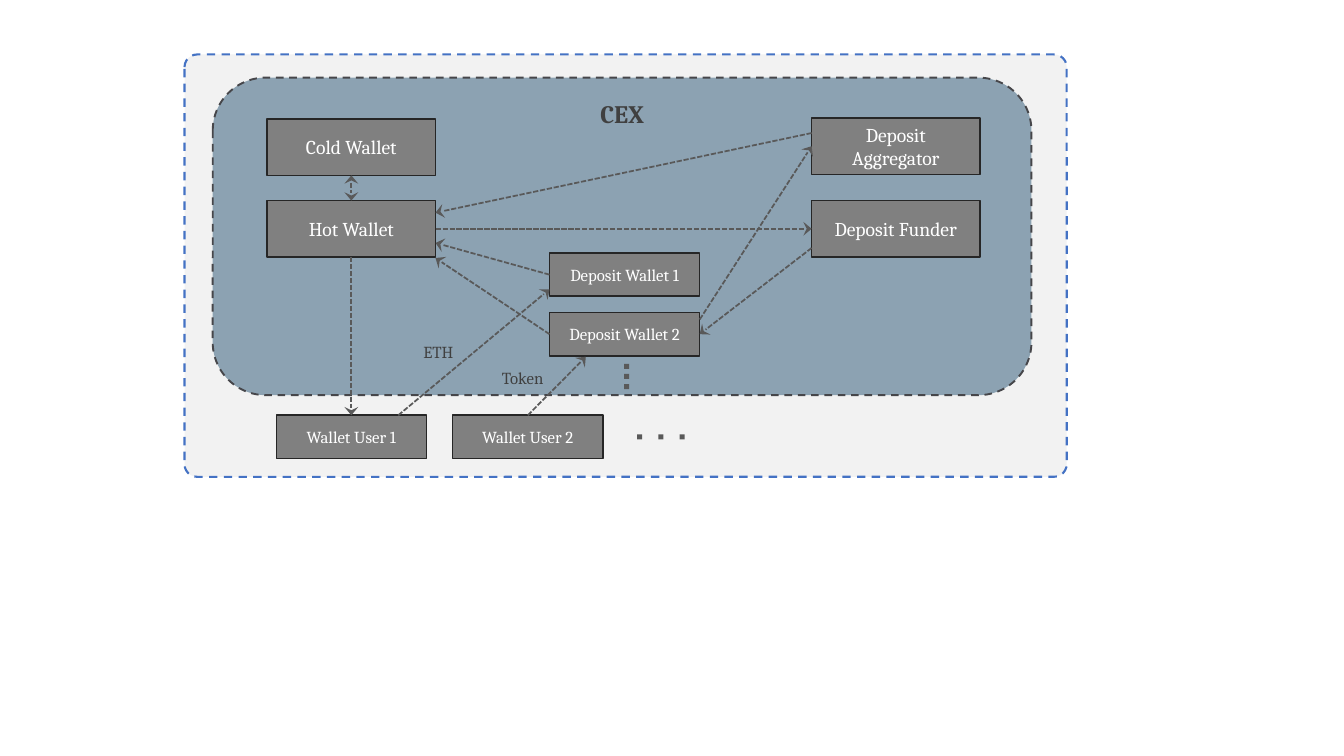
from lxml import etree
from pptx import Presentation
from pptx.dml.color import RGBColor
from pptx.enum import dml, shapes, text
from pptx.oxml import ns
from pptx.util import Inches, Pt

HUES = {
    "panel": "F2F2F2",
    "frame": "4472C4",
    "zone": "618197",
    "rim": "46464A",
    "box": "808080",
    "edge": "262626",
    "arrow": "595959",
    "ink": "404040",
    "white": "FFFFFF",
}
KIND = shapes.MSO_SHAPE
DASH = dml.MSO_LINE
TOP, LEFT, BOTTOM, RIGHT = range(4)

BIG = (1.67, 0.56, 14)
SMALL = (1.49, 0.43, 12)
BOXES = [
    ("Cold Wallet", 2.65, 1.18, BIG),
    ("Hot Wallet", 2.65, 1.99, BIG),
    ("Deposit Aggregator", 8.05, 1.17, BIG),
    ("Deposit Funder", 8.05, 1.99, BIG),
    ("Deposit Wallet 1", 5.45, 2.51, SMALL),
    ("Deposit Wallet 2", 5.45, 3.1, SMALL),
    ("Wallet User 1", 2.74, 4.12, SMALL),
    ("Wallet User 2", 4.49, 4.12, SMALL),
]
ARROWS = [
    (("Hot Wallet", RIGHT), ("Deposit Funder", LEFT)),
    ((6.94, 3.17), ("Deposit Aggregator", LEFT)),
    ((8.05, 2.46), ("Deposit Wallet 2", RIGHT)),
    (("Deposit Wallet 1", LEFT), (4.32, 2.41)),
    (("Deposit Wallet 2", LEFT), (4.32, 2.56)),
    ((8.05, 1.32), (4.32, 2.11)),
    (("Hot Wallet", BOTTOM), ("Wallet User 1", TOP)),
    ((3.95, 4.12), (5.45, 2.87)),
    (("Wallet User 2", TOP), (5.81, 3.54)),
]


def hue(name):
    return RGBColor.from_string(HUES[name])


def write(shape, words, size=12, color="ink", bold=False, align=None, anchor="TOP"):
    frame = shape.text_frame
    frame.word_wrap = True
    frame.vertical_anchor = text.MSO_ANCHOR[anchor]
    para = frame.paragraphs[0]
    para.alignment = align
    run = para.add_run()
    run.text = words
    run.font.name = "Cambria"
    run.font.size = Pt(size)
    run.font.bold = bold
    run.font.color.rgb = hue(color)


def block(slide, kind, place, fill, edge=None, width=1.1, dash=None):
    shape = slide.shapes.add_shape(kind, *map(Inches, place))
    shape.shadow.inherit = False
    shape.fill.solid()
    shape.fill.fore_color.rgb = hue(fill)
    if edge:
        shape.line.color.rgb = hue(edge)
        shape.line.width = Pt(width)
        shape.line.dash_style = dash
    else:
        shape.line.fill.background()
    return shape


def fade(shape, percent):
    color = shape.fill._xPr.find(".//" + ns.qn("a:srgbClr"))
    etree.SubElement(color, ns.qn("a:alpha"), val=str(percent * 1000))


def box(slide, words, left, top, form):
    wide, high, size = form
    shape = block(slide, KIND.RECTANGLE, (left, top, wide, high), "box", "edge")
    write(shape, words, size=size, color="white", align=text.PP_ALIGN.CENTER, anchor="MIDDLE")
    return shape


def arrow(slide, boxes, start, end, both=False):
    ends = [(0, 0) if isinstance(e[0], str) else e for e in (start, end)]
    line = slide.shapes.add_connector(
        shapes.MSO_CONNECTOR.STRAIGHT, *(Inches(v) for e in ends for v in e))
    for spot, join in ((start, line.begin_connect), (end, line.end_connect)):
        if isinstance(spot[0], str):
            join(boxes[spot[0]], spot[1])
    line.line.color.rgb = hue("arrow")
    line.line.width = Pt(1.25)
    line.line.dash_style = DASH.SQUARE_DOT
    pen = line.line._get_or_add_ln()
    for tag in ("a:headEnd", "a:tailEnd") if both else ("a:tailEnd",):
        etree.SubElement(pen, ns.qn(tag), type="stealth", w="lg", len="med")
    etree.SubElement(line._element.spPr, ns.qn("a:effectLst"))


def label(slide, words, *place):
    shape = slide.shapes.add_textbox(*map(Inches, place))
    write(shape, words)


def dots(slide, left, top, across, down):
    for i in range(3):
        place = (left + i * across, top + i * down, 0.05, 0.05)
        block(slide, KIND.RECTANGLE, place, "arrow")


def main():
    deck = Presentation()
    deck.slide_width, deck.slide_height = Inches(13.33), Inches(7.5)
    slide = deck.slides.add_slide(deck.slide_layouts[6])

    panel = block(slide, KIND.ROUNDED_RECTANGLE, (1.83, 0.54, 8.75, 4.19),
                  "panel", "frame", 1.5, DASH.DASH)
    panel.adjustments[0] = 0.03
    zone = block(slide, KIND.ROUNDED_RECTANGLE, (2.11, 0.77, 8.12, 3.15),
                 "zone", "rim", 1.35, DASH.DASH)
    fade(zone, 70)
    write(zone, "CEX", size=18, bold=True, align=text.PP_ALIGN.CENTER)

    boxes = {row[0]: box(slide, *row) for row in BOXES}
    arrow(slide, boxes, ("Cold Wallet", BOTTOM), ("Hot Wallet", TOP), both=True)
    for start, end in ARROWS:
        arrow(slide, boxes, start, end)

    dots(slide, 6.19, 3.61, 0, 0.1)
    dots(slide, 6.32, 4.31, 0.21, 0)
    label(slide, "Token", 4.88, 3.6, 0.79, 0.3)
    label(slide, "ETH", 4.1, 3.34, 0.72, 0.3)
    deck.save("out.pptx")


if __name__ == "__main__":
    main()
